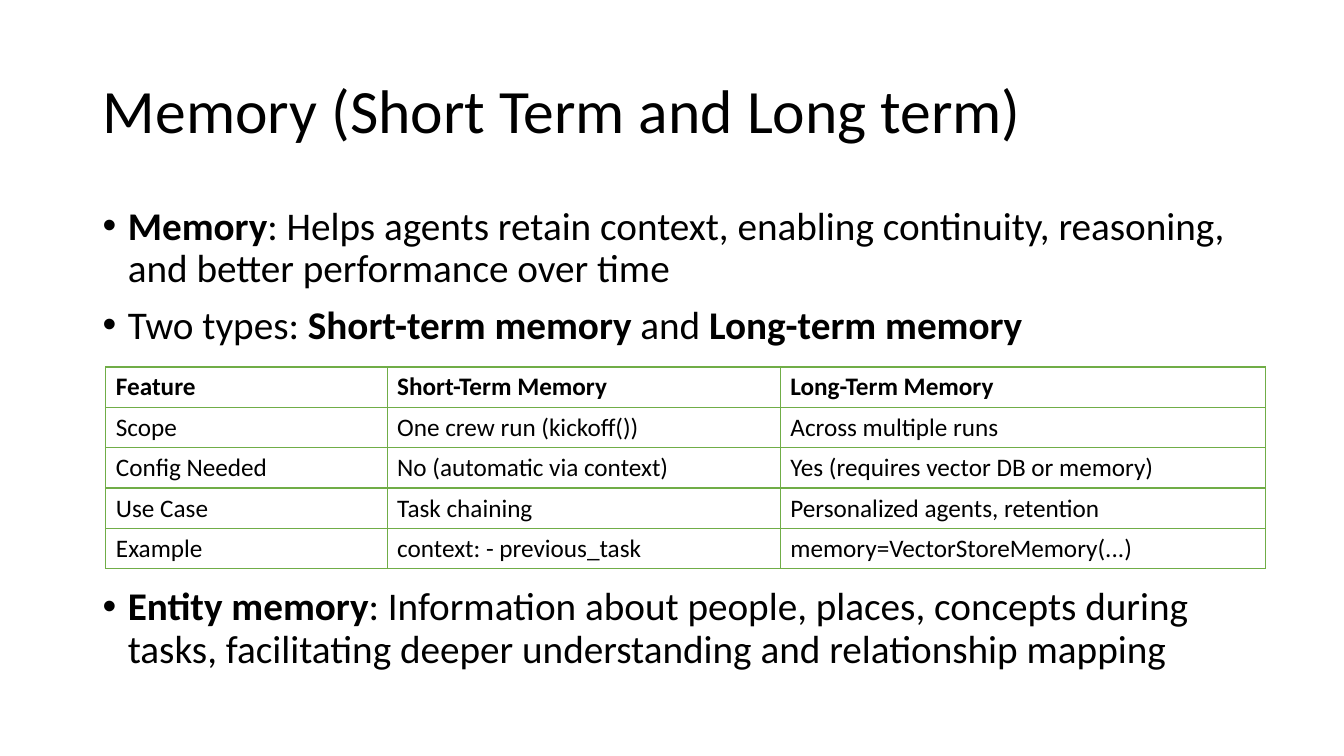
from lxml.etree import SubElement as Sub
from pptx import Presentation
from pptx.dml.color import RGBColor
from pptx.enum.text import MSO_ANCHOR as Anchor, PP_ALIGN as Align
from pptx.oxml.ns import qn
from pptx.util import Inches, Pt

FONT, BLACK, GREEN = "Calibri", "000000", "70AD47"
LEFT, WIDTH = 0.92, 11.5

# Each bullet: space before in points, then (text, bold) runs.
# The last one leaves room for the table.
BULLETS = [
    (0, [("Memory", True),
         (": Helps agents retain context, enabling continuity, reasoning, "
          "and better performance over time", False)]),
    (10, [("Two types: ", False), ("Short-term memory ", True),
          ("and ", False), ("Long-term memory", True)]),
    (171, [("Entity memory", True),
           (": Information about people, places, concepts during tasks, "
            "facilitating deeper understanding and relationship mapping",
            False)]),
]

COLS = [2.79, 3.9, 4.81]
ROWS = [
    ("Feature", "Short-Term Memory", "Long-Term Memory"),
    ("Scope", "One crew run (kickoff())", "Across multiple runs"),
    ("Config Needed", "No (automatic via context)",
     "Yes (requires vector DB or memory)"),
    ("Use Case", "Task chaining", "Personalized agents, retention"),
    ("Example", "context: - previous_task", "memory=VectorStoreMemory(...)"),
]


def paint(target, color):
    target.rgb = RGBColor.from_string(color)


def add_run(para, text, size, bold=False):
    run = para.add_run()
    run.text = text
    style = {"name": FONT, "size": Pt(size), "bold": bold}
    for key, value in style.items():
        setattr(run.font, key, value)
    paint(run.font.color, BLACK)


def place(shape, *box):
    for key, value in zip(("left", "top", "width", "height"), box):
        setattr(shape, key, Inches(value))


def set_title(slide, text):
    title = slide.shapes.title
    place(title, LEFT, 0.4, WIDTH, 1.45)
    frame = title.text_frame
    frame.word_wrap = True
    frame.vertical_anchor = Anchor.MIDDLE
    para = frame.paragraphs[0]
    para.alignment, para.line_spacing = Align.LEFT, 0.9
    add_run(para, text, 44)


def add_bullets(slide, items):
    box = slide.shapes.add_textbox(*map(Inches, (LEFT, 2, WIDTH, 4.76)))
    frame = box.text_frame
    frame.word_wrap = True
    for i, (space, runs) in enumerate(items):
        para = frame.add_paragraph() if i else frame.paragraphs[0]
        para.line_spacing, para.space_before = 0.9, Pt(space)
        for text, bold in runs:
            add_run(para, text, 28, bold)
        props = para._p.get_or_add_pPr()
        props.set("marL", str(Inches(0.25)))
        props.set("indent", str(Inches(-0.25)))
        Sub(props, qn("a:buFont"), typeface="Arial")
        Sub(props, qn("a:buChar"), char="•")


def add_border(cell, color):
    props = cell._tc.get_or_add_tcPr()
    for side in "LRTB":
        line = Sub(props, qn(f"a:ln{side}"), w=str(Pt(1)))
        Sub(Sub(line, qn("a:solidFill")), qn("a:srgbClr"), val=color)


def add_grid(slide, rows, cols):
    box = map(Inches, (1.05, 3.64, sum(cols), 0.4 * len(rows)))
    table = slide.shapes.add_table(len(rows), len(cols), *box).table
    table.first_row = table.horz_banding = False
    for col, width in zip(table.columns, cols):
        col.width = Inches(width)
    for r, row in enumerate(rows):
        for c, text in enumerate(row):
            cell = table.cell(r, c)
            cell.vertical_anchor = Anchor.MIDDLE
            add_border(cell, GREEN)
            cell.fill.background()
            add_run(cell.text_frame.paragraphs[0], text, 18, r == 0)


def main():
    deck = Presentation()
    deck.slide_width, deck.slide_height = Inches(13.33), Inches(7.5)
    slide = deck.slides.add_slide(deck.slide_layouts[5])
    set_title(slide, "Memory (Short Term and Long term)")
    add_bullets(slide, BULLETS)
    add_grid(slide, ROWS, COLS)
    deck.save("out.pptx")


if __name__ == "__main__":
    main()
